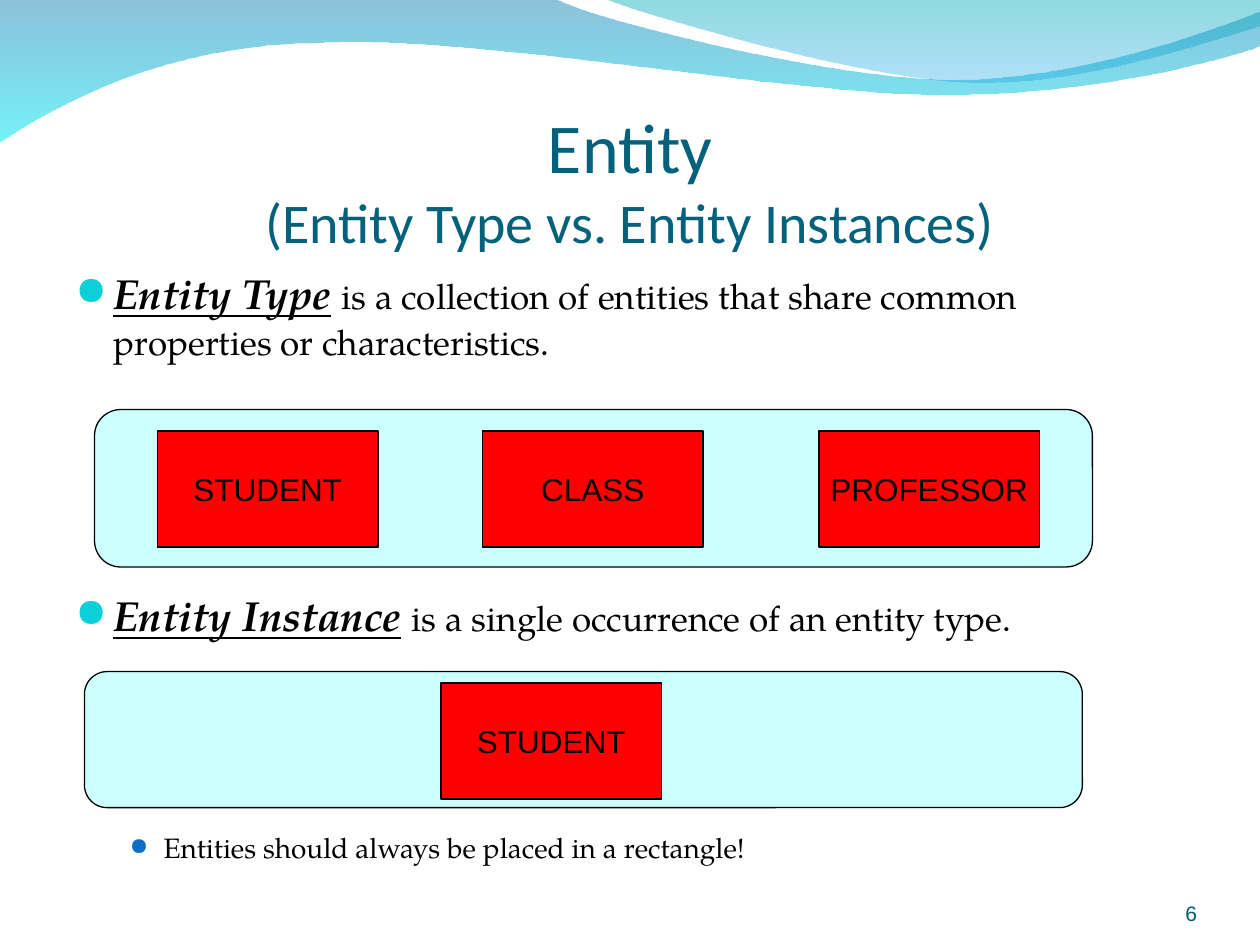
from lxml.etree import SubElement
from pptx import Presentation
from pptx.dml.color import RGBColor
from pptx.enum.shapes import MSO_SHAPE as Shape
from pptx.enum.text import MSO_ANCHOR as Anchor, MSO_AUTO_SIZE as AutoSize, PP_ALIGN as Align
from pptx.oxml.ns import qn
from pptx.util import Inches, Pt

COLORS = {
    "title": "04617B", "number": "045C75", "black": "000000",
    "panel": "CCFFFF", "entity": "FF0000",
    "bullet": "0BD0D9", "sub_bullet": "0F6FC6",
}
SERIF = "TeX Gyre Pagella"

WAVES = [
    {"start": (0, -0.01),
     "segments": [
         [(4.4, -0.01)],
         [(4.76, 0.17), (6.64, 0.63), (7.58, 0.63)],
         [(8.53, 0.63), (9.58, 0.26), (10, 0.09)],
         [(10.01, 0.36)],
         [(9.83, 0.44), (8.7, 0.76), (7.46, 0.75)],
         [(6.22, 0.75), (3.82, 0.28), (2.57, 0.34)],
         [(1.29, 0.35), (0.46, 0.83), (-0.01, 1.13)]],
     "stops": [("0079AF", 45), ("00EBF8", 55)]},
    {"start": (4.79, -0.01),
     "segments": [
         [(5.09, 0.11), (6.82, 0.62), (7.69, 0.65)],
         [(8.56, 0.69), (9.61, 0.32), (10, 0.21)],
         [(10, 0)]],
     "stops": [("00ADB6", 45), ("009BE5", 30)]},
]

TITLE_LINES = [("Entity", 40), ("(Entity Type vs. Entity Instances)", 32)]

BULLETS = [
    {"term": "Entity Type",
     "text": "is a collection of entities that share common properties or characteristics.",
     "size": 20, "before": 0, "level": 0, "indent": (0.3, 0.3), "bullet": ("bullet", 95)},
    {"term": "Entity Instance",
     "text": "is a single occurrence of an entity type.",
     "size": 20, "before": 134, "level": 0, "indent": (0.3, 0.3), "bullet": ("bullet", 95)},
    {"term": "",
     "text": "Entities should always be placed in a rectangle!",
     "size": 16, "before": 103, "level": 1, "indent": (0.7, 0.27), "bullet": ("sub_bullet", 85)},
]

PANELS = [
    {"box": (0.75, 3.25, 7.92, 1.25), "entity_top": 3.42,
     "entities": [("STUDENT", 1.25), ("CLASS", 3.83), ("PROFESSOR", 6.5)]},
    {"box": (0.67, 5.33, 7.92, 1.08), "entity_top": 5.42,
     "entities": [("STUDENT", 3.5)]},
]
ENTITY_SIZE = (1.75, 0.92)


def rgb(name):
    return RGBColor.from_string(COLORS[name])


def place(shape, box):
    for name, value in zip(("left", "top", "width", "height"), box):
        setattr(shape, name, Inches(value))


def format_frame(frame, margins, **values):
    for side, value in zip(("left", "top", "right", "bottom"), margins):
        setattr(frame, f"margin_{side}", Inches(value))
    for name, value in values.items():
        setattr(frame, name, value)


def add_run(paragraph, text, size, font, color, **values):
    run = paragraph.add_run()
    run.text = text
    run.font.color.rgb = rgb(color)
    for name, value in {"size": Pt(size), "name": font, **values}.items():
        setattr(run.font, name, value)


def bend_segments(shape, segments):
    lines = list(shape._element.spPr.iter(qn("a:lnTo")))
    for line, segment in zip(lines, segments):
        if len(segment) == 3:
            line.tag = qn("a:cubicBezTo")
            for index, (x, y) in enumerate(segment[:-1]):
                point = SubElement(line, qn("a:pt"))
                point.set("x", str(Inches(x) - shape.left))
                point.set("y", str(Inches(y) - shape.top))
                line.insert(index, point)


def add_wave(slide, wave):
    ends = [segment[-1] for segment in wave["segments"]]
    builder = slide.shapes.build_freeform(*map(Inches, wave["start"]))
    builder.add_line_segments([(Inches(x), Inches(y)) for x, y in ends], close=True)
    shape = builder.convert_to_shape()
    bend_segments(shape, wave["segments"])
    shape.shadow.inherit = False
    shape.line.fill.background()
    shape.fill.gradient()
    shape.fill.gradient_angle = 270
    for stop, (color, opacity) in zip(shape.fill.gradient_stops, wave["stops"]):
        stop.color.rgb = RGBColor.from_string(color)
    gradient_colors = list(shape._element.spPr.iter(qn("a:srgbClr")))
    for element, (color, opacity) in zip(gradient_colors, wave["stops"]):
        SubElement(element, qn("a:alpha"), val=str(opacity * 1000))


def add_box(slide, kind, box, color):
    shape = slide.shapes.add_shape(kind, *map(Inches, box))
    shape.shadow.inherit = False
    shape.fill.solid()
    shape.fill.fore_color.rgb = rgb(color)
    shape.line.color.rgb = rgb("black")
    shape.line.width = Pt(0.75)
    return shape


def add_panel(slide, panel):
    add_box(slide, Shape.FLOWCHART_ALTERNATE_PROCESS, panel["box"], "panel")
    for label, left in panel["entities"]:
        box = (left, panel["entity_top"], *ENTITY_SIZE)
        frame = add_box(slide, Shape.FLOWCHART_PROCESS, box, "entity").text_frame
        format_frame(frame, (0.1, 0.05, 0.1, 0.05), word_wrap=False, vertical_anchor=Anchor.MIDDLE)
        paragraph = frame.paragraphs[0]
        paragraph.alignment = Align.CENTER
        add_run(paragraph, label, 18, "Arial", "black")


def add_title(slide):
    title = slide.shapes.title
    place(title, (0.5, 0.77, 9, 1.25))
    format_frame(title.text_frame, (0, 0.05, 0, 0), word_wrap=True,
                 auto_size=AutoSize.NONE, vertical_anchor=Anchor.BOTTOM)
    paragraph = title.text_frame.paragraphs[0]
    paragraph.alignment = Align.CENTER
    for index, (text, size) in enumerate(TITLE_LINES):
        if index:
            paragraph.add_line_break()
        add_run(paragraph, text, size, "Calibri", "title")


def add_bullets(slide):
    frame = slide.shapes.add_textbox(*map(Inches, (0.5, 2.13, 9, 4.8))).text_frame
    format_frame(frame, (0.1, 0.05, 0.1, 0.05), word_wrap=True)
    for index, item in enumerate(BULLETS):
        paragraph = frame.add_paragraph() if index else frame.paragraphs[0]
        paragraph.level = item["level"]
        paragraph.line_spacing = Pt(25)
        paragraph.space_before = Pt(item["before"])
        properties = paragraph._p.get_or_add_pPr()
        margin, hanging = item["indent"]
        properties.set("marL", str(Inches(margin)))
        properties.set("indent", str(-Inches(hanging)))
        color, percent = item["bullet"]
        SubElement(SubElement(properties, qn("a:buClr")), qn("a:srgbClr"), val=COLORS[color])
        SubElement(properties, qn("a:buSzPct"), val=str(percent * 1000))
        SubElement(properties, qn("a:buFont"), typeface="OpenSymbol")
        SubElement(properties, qn("a:buChar"), char="●")
        if item["term"]:
            add_run(paragraph, item["term"], 24, SERIF, "black", bold=True, italic=True, underline=True)
            add_run(paragraph, " ", 24, SERIF, "black")
        add_run(paragraph, item["text"], item["size"], SERIF, "black")


def add_slide_number(slide):
    frame = slide.shapes.add_textbox(*map(Inches, (8.67, 6.95, 0.83, 0.4))).text_frame
    format_frame(frame, (0, 0, 0, 0), word_wrap=True, vertical_anchor=Anchor.BOTTOM)
    frame.paragraphs[0].alignment = Align.RIGHT
    add_run(frame.paragraphs[0], "6", 12, "Arial", "number")


def main():
    presentation = Presentation()
    presentation.slide_width, presentation.slide_height = Inches(10), Inches(7.5)
    slide = presentation.slides.add_slide(presentation.slide_layouts[5])
    for wave in WAVES:
        add_wave(slide, wave)
    add_title(slide)
    add_bullets(slide)
    for panel in PANELS:
        add_panel(slide, panel)
    add_slide_number(slide)
    presentation.save("out.pptx")


if __name__ == "__main__":
    main()
